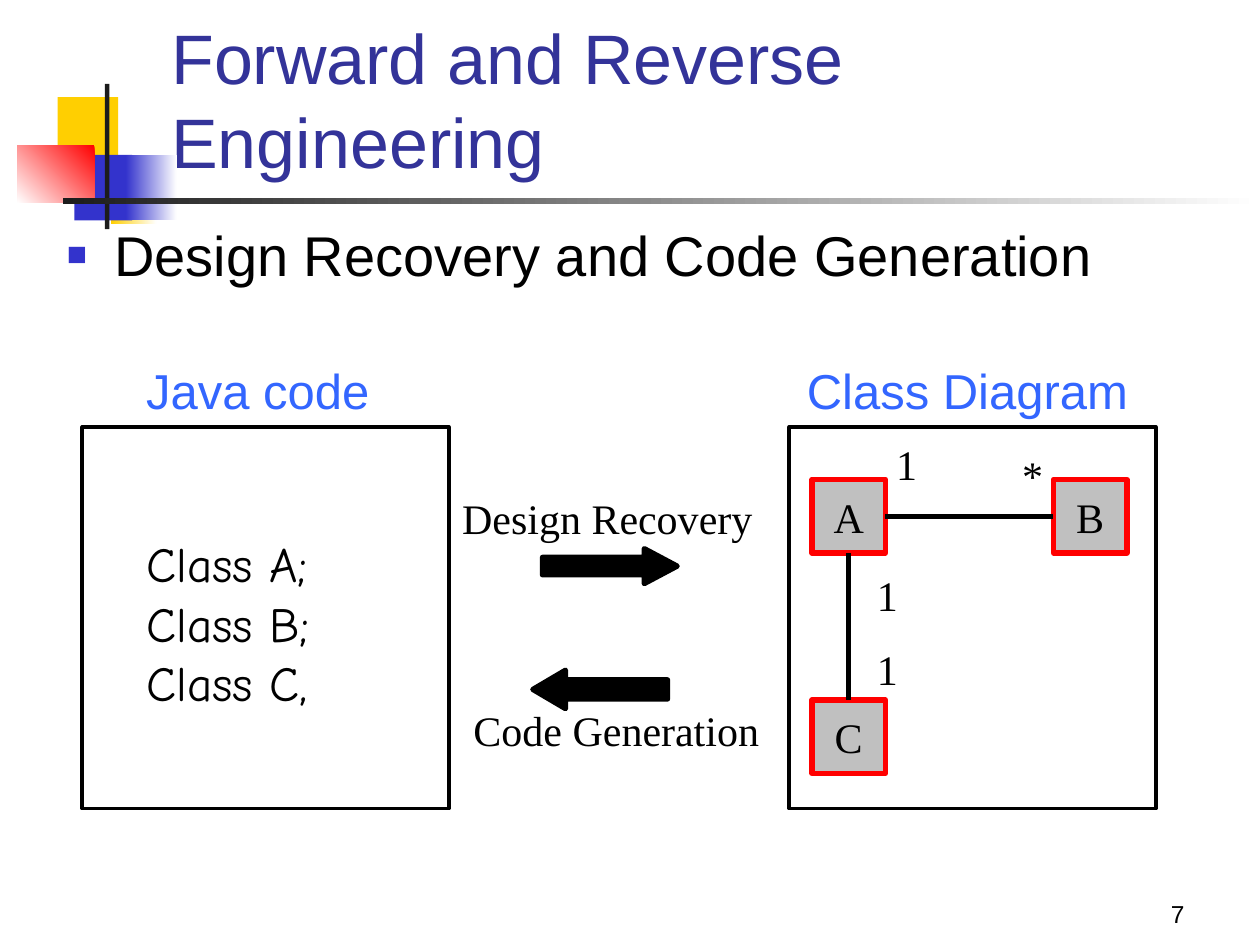
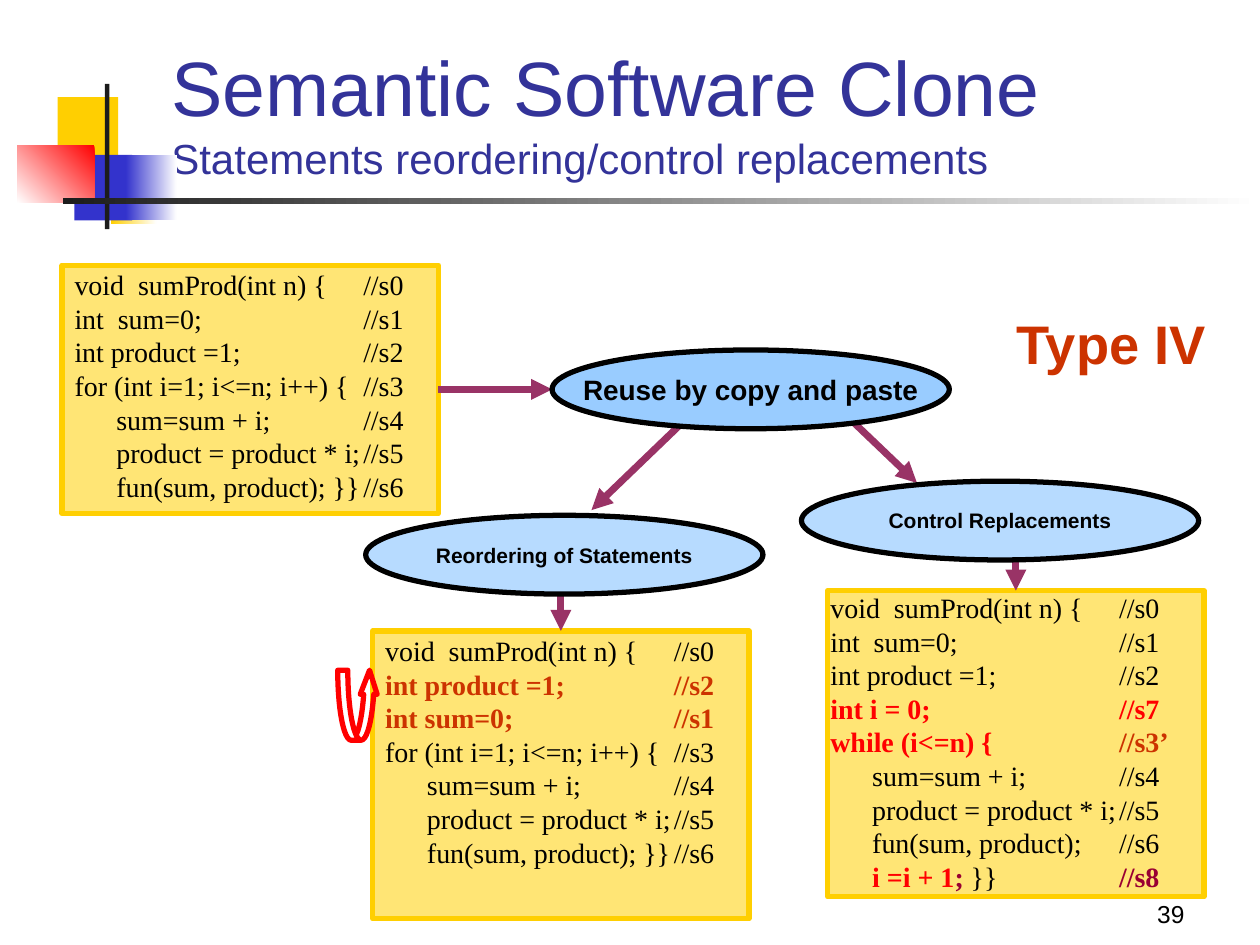
from dataclasses import dataclass

from lxml import etree
from pptx import Presentation
from pptx.dml.color import RGBColor
from pptx.enum import shapes, text
from pptx.oxml import ns
from pptx.util import Pt

KIND = shapes.MSO_SHAPE
ALIGN = text.PP_ALIGN
ANCHOR = text.MSO_ANCHOR


@dataclass(frozen=True)
class Theme:
    sans: str = "Arial"
    serif: str = "Times New Roman"
    hand: str = "Comic Neue"
    black: str = "000000"
    white: str = "FFFFFF"
    title: str = "333399"
    blue: str = "3333CC"
    gold: str = "FFCF01"
    red: str = "FF0000"
    rule: str = "1C1C1C"
    heading: str = "3366FF"
    node: str = "C0C0C0"
    step: str = "99CCFF"
    arrow: str = "993366"
    moved: str = "CC3300"
    added: str = "990033"
    title_size: int = 44
    long_title_size: int = 40
    body_size: int = 32
    type_size: int = 31
    heading_size: int = 28
    label_size: int = 24
    code_size: int = 16
    number_size: int = 14
    small_size: int = 12


@dataclass(frozen=True)
class Box:
    left: float
    top: float
    width: float
    height: float

    def inner(self, left, top, width, height):
        return Box(self.left + left, self.top + top, width, height)

    @property
    def middle(self):
        return self.left + self.width / 2

    def lengths(self):
        return [Pt(value) for value in (self.left, self.top, self.width, self.height)]


THEME = Theme()
LINE = 3
COMMENT_TAB = 165


# Shared helpers
def color(value):
    return RGBColor.from_string(value)


def add_xml(parent, tag, **attributes):
    return etree.SubElement(parent, ns.qn(tag), attributes)


def style_run(run, size, font=THEME.sans, ink=THEME.black, bold=False):
    run.font.size, run.font.name, run.font.bold = Pt(size), font, bold
    run.font.color.rgb = color(ink)


def set_frame(frame, anchor=ANCHOR.TOP, wrap=True, side=7.2, edge=3.6):
    frame.auto_size = text.MSO_AUTO_SIZE.NONE
    frame.word_wrap, frame.vertical_anchor = wrap, anchor
    frame.margin_left = frame.margin_right = Pt(side)
    frame.margin_top = frame.margin_bottom = Pt(edge)


def write(frame, words, align=ALIGN.LEFT, **style):
    frame.text = words
    for para in frame.paragraphs:
        para.alignment = align
        for run in para.runs:
            style_run(run, **style)


def add_label(page, box, words, align=ALIGN.LEFT, anchor=ANCHOR.TOP, **style):
    label = page.shapes.add_textbox(*box.lengths())
    set_frame(label.text_frame, anchor, wrap=False)
    write(label.text_frame, words, align, **style)
    return label


def add_figure(page, kind, box, fill=None, line=None, width=LINE, alpha=None):
    figure = page.shapes.add_shape(kind, *box.lengths())
    figure.shadow.inherit = False
    if fill:
        figure.fill.solid()
        figure.fill.fore_color.rgb = color(fill)
    else:
        figure.fill.background()
    if alpha:
        add_xml(figure.element.find(".//" + ns.qn("a:srgbClr")), "a:alpha", val=str(alpha * 1000))
    if line:
        figure.line.color.rgb = color(line)
        figure.line.width = Pt(width)
    else:
        figure.line.fill.background()
    return figure


def add_line(page, start, end, ink, width, arrow=False):
    line = page.shapes.add_connector(
        shapes.MSO_CONNECTOR.STRAIGHT, *[Pt(value) for value in (*start, *end)])
    line.line.color.rgb = color(ink)
    line.line.width = Pt(width)
    if arrow:
        add_xml(line.line._get_or_add_ln(), "a:tailEnd", type="triangle")
    add_xml(line.element.spPr, "a:effectLst")
    return line


# Title, corner ornament and slide number
def add_ornament(page):
    tiles = (
        (Box(33, 55.5, 34.5, 37.5), THEME.gold, None),
        (Box(63.5, 90.5, 26, 37.5), THEME.gold, 0),
        (Box(42.5, 88.5, 33, 37.5), THEME.blue, None),
        (Box(72, 88.5, 29, 37.5), THEME.blue, 0),
        (Box(10, 83, 44, 33), THEME.red, 225),
        (Box(60, 48, 2.5, 83), THEME.rule, None),
        (Box(36, 113, 684, 3.5), THEME.rule, 0),
    )
    for box, ink, angle in tiles:
        tile = add_figure(page, KIND.RECTANGLE, box, ink)
        if angle is not None:
            tile.fill.gradient()
            tile.fill.gradient_angle = angle
            for stop, shade in zip(tile.fill.gradient_stops, (ink, THEME.white)):
                stop.color.rgb = color(shade)


def place(holder, box):
    holder.left, holder.top, holder.width, holder.height = box.lengths()


def add_page(deck, layout, title, sizes, number):
    page = deck.slides.add_slide(deck.slide_layouts[layout])
    add_ornament(page)
    place(page.shapes.title, Box(90.7, 9.4, 613.4, 98.6))
    frame = page.shapes.title.text_frame
    set_frame(frame, ANCHOR.BOTTOM)
    write(frame, title, size=THEME.title_size, ink=THEME.title)
    for run, size in zip(frame.paragraphs[0].runs, sizes):
        run.font.size = Pt(size)
    add_label(page, Box(534, 498, 150, 36), number, ALIGN.RIGHT, ANCHOR.BOTTOM,
              size=THEME.number_size)
    return page


# Forward and reverse engineering
def fill_body(page, words):
    body = page.placeholders[1]
    place(body, Box(31, 122.4, 669, 363))
    set_frame(body.text_frame)
    write(body.text_frame, words, size=THEME.body_size)
    para = body.text_frame.paragraphs[0]
    properties = para._p.get_or_add_pPr()
    properties.set("marL", str(Pt(27)))
    properties.set("indent", str(-Pt(27)))
    add_xml(add_xml(properties, "a:buClr"), "a:srgbClr", val=THEME.blue)
    add_xml(properties, "a:buSzPct", val="60000")
    add_xml(properties, "a:buFont", typeface=THEME.sans)
    add_xml(properties, "a:buChar", char="■")
    para.space_before = Pt(0)


def add_panel(page, box, heading, offset):
    add_figure(page, KIND.RECTANGLE, box, line=THEME.black, width=2)
    add_label(page, box.inner(*offset, 197, 41), heading,
              size=THEME.heading_size, ink=THEME.heading)


def add_java_panel(page, box):
    add_panel(page, box, "Java code", (29.5, -41.5))
    code = add_label(page, box.inner(29.5, 64, 165, 110), "Class A;\nClass B;\nClass C,",
                     size=THEME.heading_size, font=THEME.hand)
    for index, para in enumerate(code.text_frame.paragraphs):
        para.line_spacing = 0.8
        para.space_before = Pt(7 if index else 0)


def add_class_panel(page, box):
    add_panel(page, box, "Class Diagram", (3, -41.5))
    serif = dict(size=THEME.label_size, font=THEME.serif)
    nodes = {}
    for name, left, top in (("A", 13, 30), ("B", 151, 30), ("C", 13, 156)):
        node = add_figure(page, KIND.RECTANGLE, box.inner(left, top, 42, 42),
                          THEME.node, THEME.red)
        set_frame(node.text_frame, ANCHOR.MIDDLE, wrap=False)
        write(node.text_frame, name, ALIGN.CENTER, **serif)
        nodes[name] = node
    for target, start_side, end_side in (("B", 3, 1), ("C", 2, 0)):
        link = add_line(page, (0, 0), (0, 0), THEME.black, LINE)
        link.begin_connect(nodes["A"], start_side)
        link.end_connect(nodes[target], end_side)
    for count, left, top in (("1", 54, 3), ("*", 126, 9.5), ("1", 43, 78), ("1", 43, 120)):
        add_label(page, box.inner(left, top, 26, 36), count, **serif)


def add_directions(page, box):
    directions = (
        ("Design Recovery", 0, KIND.RIGHT_ARROW, (53, 35.5, 77, 20), 0.94),
        ("Code Generation", 121, KIND.LEFT_ARROW, (47.5, 105, 77, 22), 0.85),
    )
    for words, top, kind, spot, head in directions:
        arrow = add_figure(page, kind, box.inner(*spot), THEME.black, THEME.black)
        arrow.adjustments[0], arrow.adjustments[1] = 0.5, head
        left = 6.5 if top else 0
        add_label(page, box.inner(left, top, 180, 36), words,
                  size=THEME.label_size, font=THEME.serif)


def build_engineering(deck):
    page = add_page(deck, 1, "Forward and Reverse Engineering",
                    [THEME.long_title_size], "7")
    fill_body(page, "Design Recovery and Code Generation")
    add_java_panel(page, Box(47, 244, 209.5, 218))
    add_class_panel(page, Box(451, 244, 209.5, 218))
    add_directions(page, Box(257, 278, 184, 157))


# Semantic software clone: plain lines are strings, marked lines are (words, ink) spans
HEAD = "void  sumProd(int n) {\t//s0"
SUM = "int  sum=0;\t//s1"
PRODUCT = "int product =1;\t//s2"
FOR_LOOP = "for (int i=1; i<=n; i++) {\t//s3"
STEPS = ["      sum=sum + i;\t//s4", "      product = product * i;\t//s5"]
CALL_END = "      fun(sum, product); }}\t//s6"
SOURCE = [HEAD, SUM, PRODUCT, FOR_LOOP, *STEPS, CALL_END]
REORDERED = [HEAD, [(PRODUCT, THEME.moved)], [("int sum=0;\t//s1", THEME.moved)],
             FOR_LOOP, *STEPS, CALL_END]
REPLACED = [
    HEAD, SUM, PRODUCT,
    [("int i = 0;\t//s7", THEME.red)],
    [("while (i<=n) {", THEME.red), ("\t//s3’", THEME.moved)],
    *STEPS,
    "      fun(sum, product);\t//s6",
    [("      i =i + 1", THEME.red), (";", THEME.added), (" }}\t", THEME.black),
     ("//s8", THEME.added)],
]


def add_code(page, box, lines, side=7.2, edge=1.5):
    code = add_figure(page, KIND.RECTANGLE, box, THEME.gold, THEME.gold, alpha=54)
    set_frame(code.text_frame, side=side, edge=edge)
    for index, line in enumerate(lines):
        para = code.text_frame.add_paragraph() if index else code.text_frame.paragraphs[0]
        tabs = add_xml(para._p.get_or_add_pPr(), "a:tabLst")
        add_xml(tabs, "a:tab", pos=str(Pt(COMMENT_TAB)), algn="l")
        para.alignment = ALIGN.LEFT
        for words, ink in [(line, THEME.black)] if isinstance(line, str) else line:
            span = para.add_run()
            span.text = words
            style_run(span, THEME.code_size, THEME.serif, ink, ink != THEME.black)
    return code


def add_step(page, box, words, size, alpha=None):
    step = add_figure(page, KIND.OVAL, box, THEME.step, THEME.black, alpha=alpha)
    set_frame(step.text_frame, ANCHOR.MIDDLE, wrap=False)
    write(step.text_frame, words, ALIGN.CENTER, size=size, bold=True)


def add_arrow(page, start, end):
    return add_line(page, start, end, THEME.arrow, 4, arrow=True)


def add_variant(page, step_box, words, code_box, lines, **insets):
    code = add_code(page, code_box, lines, **insets)
    bottom = step_box.top + step_box.height
    arrow = add_arrow(page, (code_box.middle, bottom), (code_box.middle, code_box.top))
    arrow.end_connect(code, 0)
    add_step(page, step_box, words, THEME.small_size, alpha=70)


def add_swap_mark(page, box):
    mark = add_figure(page, KIND.CURVED_UP_ARROW, box, line=THEME.red)
    for index, value in enumerate((0.25, 0.42, 0.6)):
        mark.adjustments[index] = value


def build_clone(deck):
    page = add_page(deck, 5, "Semantic Software Clone\vStatements reordering/control replacements",
                    [THEME.title_size, THEME.label_size], "39")
    reuse = Box(315.5, 200, 227, 45)
    source = add_code(page, Box(35.5, 151.5, 215, 142), SOURCE)
    add_arrow(page, (251, 222.5), (reuse.left, 222.5)).begin_connect(source, 3)
    add_arrow(page, (405, 227), (338, 291.5))
    add_arrow(page, (468, 222.5), (524, 276))
    add_step(page, reuse, "Reuse by copy and paste", THEME.code_size)
    add_variant(page, Box(209, 294.5, 227, 45), "Reordering of Statements",
                Box(213, 360.5, 215, 164.5), REORDERED)
    add_swap_mark(page, Box(193, 383, 23, 40))
    add_variant(page, Box(458, 275, 227, 45), "Control Replacements",
                Box(473, 337.5, 215, 175), REPLACED, side=1.5, edge=0)
    add_label(page, Box(575.5, 162, 119, 68), "Type IV", ALIGN.CENTER, ANCHOR.MIDDLE,
              size=THEME.type_size, ink=THEME.moved, bold=True)


def main():
    deck = Presentation()
    deck.slide_width, deck.slide_height = Pt(720), Pt(540)
    build_engineering(deck)
    build_clone(deck)
    deck.save("out.pptx")


if __name__ == "__main__":
    main()
